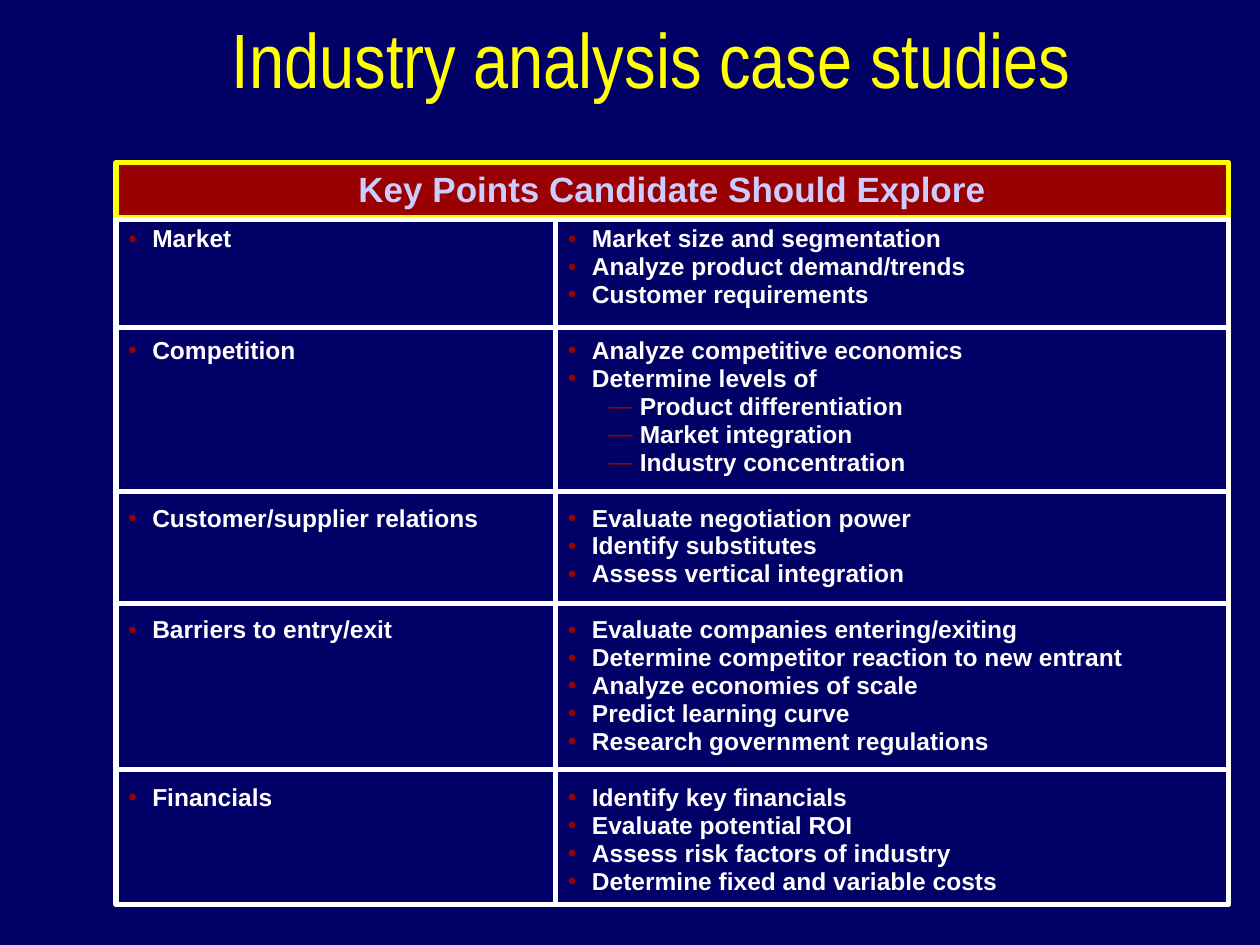
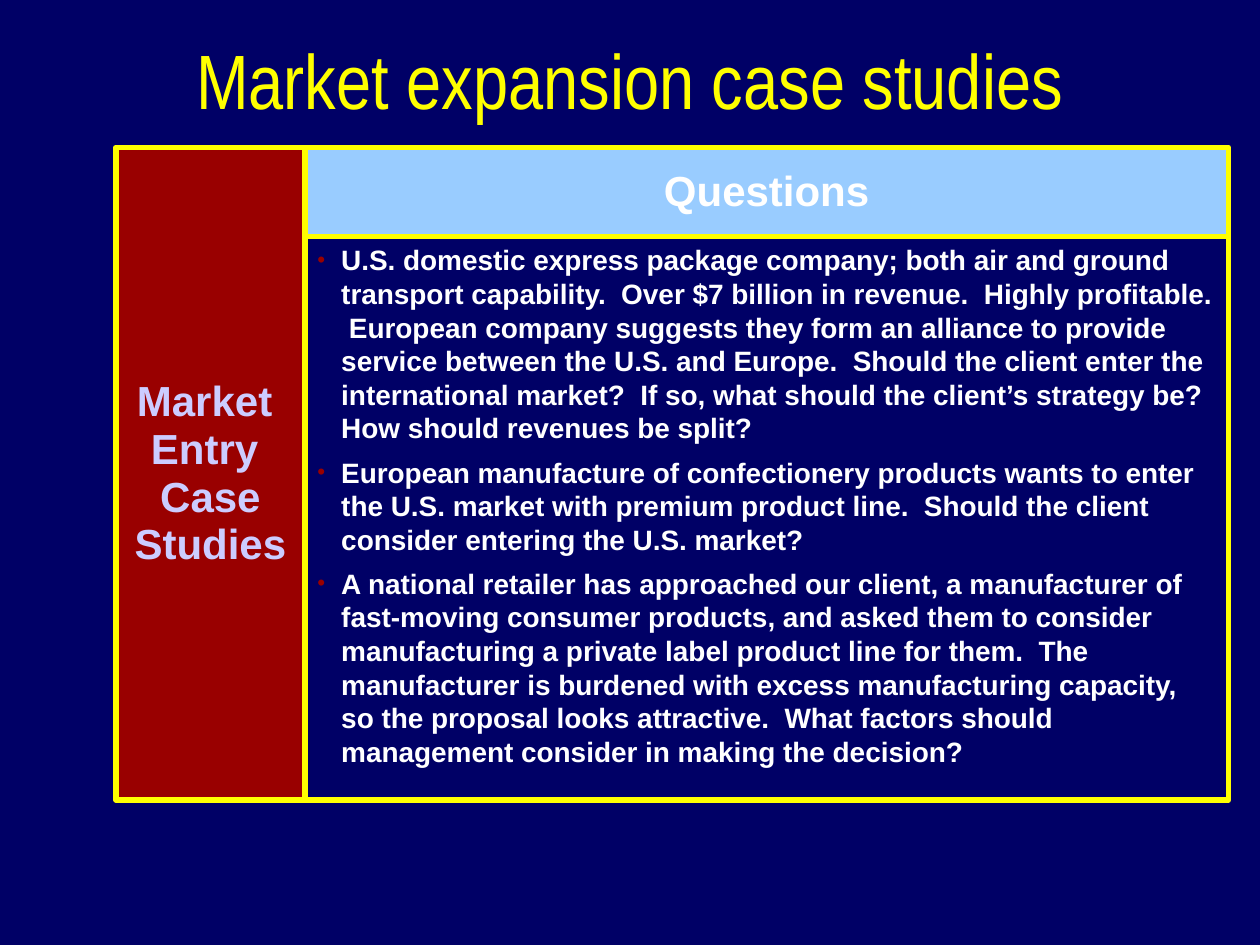
from lxml import etree
from pptx import Presentation, util as u
from pptx.dml.color import RGBColor
from pptx.enum import shapes, text
from pptx.oxml.ns import qn

HUE = {"navy": "000066", "gold": "FFFF00", "red": "990000",
       "lilac": "CCCCFF", "sky": "99CCFF", "white": "FFFFFF"}
RGB = {name: RGBColor.from_string(code) for name, code in HUE.items()}
LEFT, RIGHT = 0.92, 9.75  # outer edges of both grids, inches
LINE = 15.96  # height of one 14 pt line, points
MID, TOP = text.MSO_ANCHOR.MIDDLE, text.MSO_ANCHOR.TOP
CENTER, START = text.PP_ALIGN.CENTER, text.PP_ALIGN.LEFT


def add_box(slide, edges, fill, line, anchor, wrap):
    """Draw a bordered cell from its left, top, right and bottom edges."""
    x1, y1, x2, y2 = edges
    box = slide.shapes.add_shape(
        shapes.MSO_SHAPE.RECTANGLE,
        *[u.Inches(v) for v in (x1, y1, x2 - x1, y2 - y1)])
    box.shadow.inherit = False
    if fill:
        box.fill.solid()
        box.fill.fore_color.rgb = RGB[fill]
    else:
        box.fill.background()
    box.line.color.rgb = RGB[line]
    box.line.width = u.Pt(3)
    box.text_frame.vertical_anchor = anchor
    box.text_frame.word_wrap = wrap
    return box.text_frame


def add_para(frame, words, size, hue, para, mark=None, scale=None,
             indent=(0.19, -0.19)):
    """Fill the empty first paragraph or append one, with an optional bullet."""
    p = frame.paragraphs[0]
    if p.runs:
        p = frame.add_paragraph()
    for key, val in para.items():
        setattr(p, key, val)
    run = p.add_run()
    run.text = words
    font = {"name": "Arial", "size": u.Pt(size), "bold": True}
    for key, val in font.items():
        setattr(run.font, key, val)
    run.font.color.rgb = RGB[hue]
    if mark:
        ppr = p._p.get_or_add_pPr()
        for key, val in zip(("marL", "indent"), indent):
            ppr.set(key, str(u.Inches(val)))
        tint = etree.SubElement(ppr, qn("a:buClr"))
        etree.SubElement(tint, qn("a:srgbClr"), val=HUE["red"])
        if scale:
            etree.SubElement(ppr, qn("a:buSzPct"), val=str(scale * 1000))
        etree.SubElement(ppr, qn("a:buFont"), typeface="Arial")
        etree.SubElement(ppr, qn("a:buChar"), char=mark)


prs = Presentation()
prs.slide_width, prs.slide_height = u.Inches(10), u.Inches(7.5)
back = prs.slide_master.background.fill
back.solid()
back.fore_color.rgb = RGB["navy"]

# Slides and titles
titles = [("Industry analysis case studies", (0.92, 0, 8.5, 0.92)),
          ("Market expansion case studies", (0.75, 0, 8.5, 1.25))]
slides = []
for words, place in titles:
    slide = prs.slides.add_slide(prs.slide_layouts[5])
    title = slide.shapes.title
    for key, val in zip(("left", "top", "width", "height"), place):
        setattr(title, key, u.Inches(val))
    title.text = words
    frame = title.text_frame
    look = {"auto_size": text.MSO_AUTO_SIZE.NONE, "vertical_anchor": MID,
            "word_wrap": True}
    for key, val in look.items():
        setattr(frame, key, val)
    p = frame.paragraphs[0]
    p.alignment = CENTER
    for key, val in {"name": "Arial Narrow", "size": u.Pt(44)}.items():
        setattr(p.runs[0].font, key, val)
    p.runs[0].font.color.rgb = RGB["gold"]
    slides.append(slide)
industry, market = slides
head = {"alignment": CENTER, "line_spacing": 0.95}

# Industry slide: heading band
frame = add_box(industry, (LEFT, 1.29, RIGHT, 1.73), "red", "gold", MID, False)
add_para(frame, "Key Points Candidate Should Explore", 20, "lilac", head)

# Industry slide: topics beside their points; a leading dash marks a sub-point
topics = {
    "Market": ["Market size and segmentation", "Analyze product demand/trends",
               "Customer requirements"],
    "Competition": ["Analyze competitive economics", "Determine levels of",
                    "-Product differentiation", "-Market integration",
                    "-Industry concentration"],
    "Customer/supplier relations": [
        "Evaluate negotiation power", "Identify substitutes",
        "Assess vertical integration"],
    "Barriers to entry/exit": [
        "Evaluate companies entering/exiting",
        "Determine competitor reaction to new entrant",
        "Analyze economies of scale", "Predict learning curve",
        "Research government regulations"],
    "Financials": ["Identify key financials", "Evaluate potential ROI",
                   "Assess risk factors of industry",
                   "Determine fixed and variable costs"],
}
split, top, base = 4.41, 1.74, 7.18
names = add_box(industry, (LEFT, top, split, base), "navy", "white", TOP, True)
notes = add_box(industry, (split, top, RIGHT, base), "navy", "white", TOP, True)
above = 0  # points listed in the row above
for topic, points in topics.items():
    para = {"alignment": START, "line_spacing": 0.95,
            "space_before": u.Pt(LINE * above)}
    add_para(names, topic, 14, "white", para, "•")
    for i, point in enumerate(points):
        para["space_before"] = u.Pt(LINE if above and i == 0 else 0)
        if point.startswith("-"):
            add_para(notes, point[1:], 14, "white", para | {"level": 1}, "—",
                     indent=(0.57, -0.25))
        else:
            add_para(notes, point, 14, "white", para, "•")
    above = len(points)

# Industry slide: row rules
for y in (2.6, 3.9, 4.79, 6.11):
    rule = industry.shapes.add_connector(
        shapes.MSO_CONNECTOR.STRAIGHT,
        *[u.Inches(v) for v in (LEFT, y, RIGHT, y)])
    rule.line.color.rgb = RGB["white"]
    rule.line.width = u.Pt(3)
    etree.SubElement(rule._element.spPr, qn("a:effectLst"))

# Market slide: questions, their heading and the side band
cases = [
    "U.S. domestic express package company; both air and ground transport "
    "capability.  Over $7 billion in revenue.  Highly profitable.  European "
    "company suggests they form an alliance to provide service between the "
    "U.S. and Europe.  Should the client enter the international market?  If "
    "so, what should the client’s strategy be?  How should revenues be split?",
    "European manufacture of confectionery products wants to enter the U.S. "
    "market with premium product line.  Should the client consider entering "
    "the U.S. market?",
    "A national retailer has approached our client, a manufacturer of "
    "fast-moving consumer products, and asked them to consider manufacturing "
    "a private label product line for them.  The manufacturer is burdened "
    "with excess manufacturing capacity, so the proposal looks attractive.  "
    "What factors should management consider in making the decision?",
]
split, top, row, base = 2.42, 1.17, 1.88, 6.35
frame = add_box(market, (split, row, RIGHT, base), None, "gold", TOP, True)
for case in cases:
    add_para(frame, case, 16, "white",
             {"alignment": START, "space_before": u.Pt(6)}, "•", 80)
frame = add_box(market, (split, top, RIGHT, row), "sky", "gold", MID, False)
add_para(frame, "Questions", 24, "white", head)
frame = add_box(market, (LEFT, top, split, base), "red", "gold", MID, False)
for word in ("Market ", "Entry ", "Case", "Studies"):
    add_para(frame, word, 24, "lilac", head)

prs.save("out.pptx")
